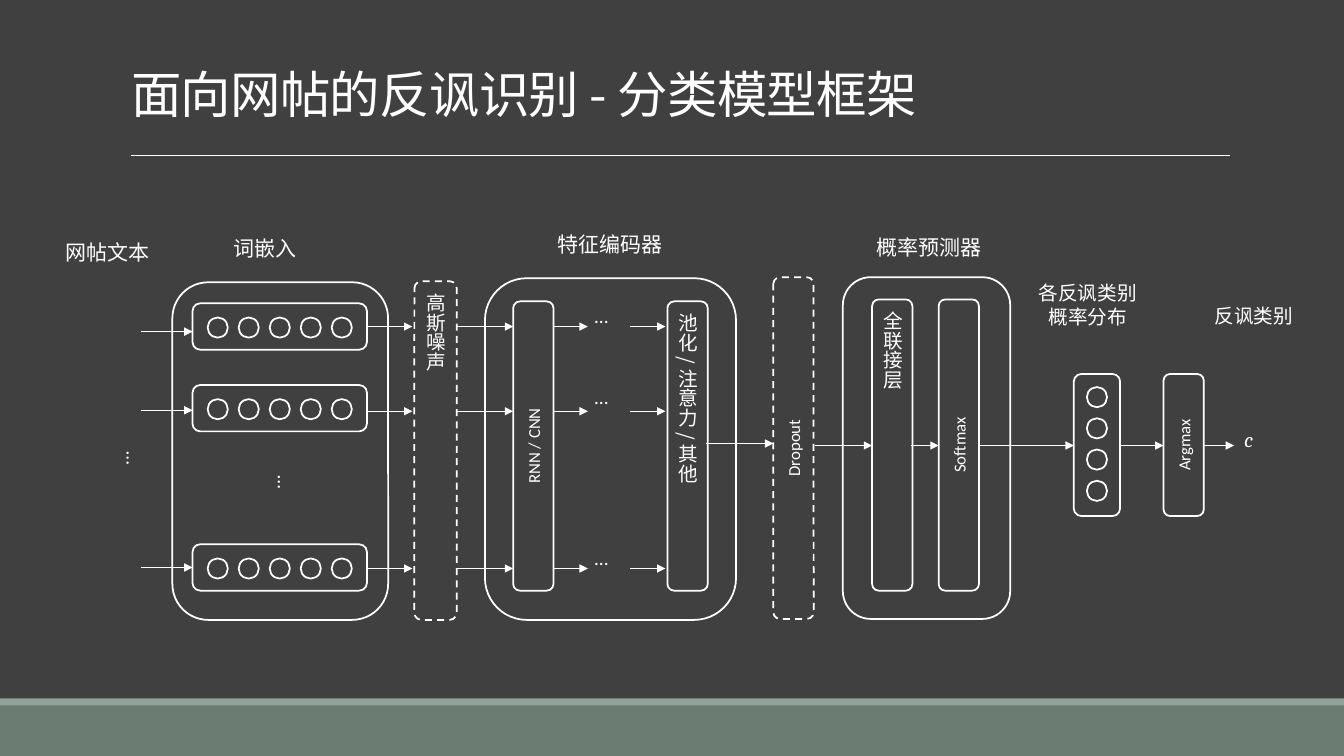
from dataclasses import dataclass

from lxml import etree
from pptx import Presentation
from pptx import util as u
from pptx.dml import color
from pptx.enum import dml, shapes, text
from pptx.oxml import ns

COLORS = {"background": "404040", "band": "6B7D72", "stripe": "93A299", "ink": "FFFFFF"}
CJK = "Noto Sans CJK SC"
STYLES = {
    "title": {"name": CJK, "size": u.Pt(36)},
    "heading": {"name": CJK, "size": u.Pt(15)},
    "label": {"name": CJK, "size": u.Pt(14)},
    "layer": {"name": "Calibri", "size": u.Pt(12)},
    "dots": {"name": "Calibri", "size": u.Pt(14)},
    "symbol": {"name": "Cambria", "size": u.Pt(15), "italic": True},
}
COLUMNS, ROWS = 1333, 750
WIDTH, HEIGHT = u.Inches(13.33), u.Inches(7.5)
KINDS = shapes.MSO_SHAPE
LANES = (324, 408, 564)


@dataclass
class Box:
    """A rectangle measured in grid columns and rows."""
    left: float
    top: float
    width: float
    height: float

    def inside(self, column, row, width, height):
        """Return a box offset from this one's corner."""
        return Box(self.left + column, self.top + row, width, height)

    def lengths(self):
        """Return left, top, width and height as slide lengths."""
        across, down = WIDTH / COLUMNS, HEIGHT / ROWS
        return [int(value) for value in (self.left * across, self.top * down,
                                         self.width * across, self.height * down)]


def rgb(name):
    """Look up a named colour."""
    return color.RGBColor.from_string(COLORS[name])


def write(frame, words, style, align=text.PP_ALIGN.CENTER):
    """Fill a text frame, one paragraph for each line of words."""
    for index, line in enumerate(words.split("\n")):
        paragraph = frame.paragraphs[0] if index == 0 else frame.add_paragraph()
        paragraph.alignment = align
        run = paragraph.add_run()
        run.text = line
        for attribute, value in STYLES[style].items():
            setattr(run.font, attribute, value)
        run.font.color.rgb = rgb("ink")
        east_asian = etree.SubElement(run.font._element, ns.qn("a:ea"))
        east_asian.set("typeface", CJK)


def add_label(slide, box, words, style, align=text.PP_ALIGN.CENTER, rotation=0):
    """Add a wrapped text box."""
    label = slide.shapes.add_textbox(*box.lengths())
    label.rotation = rotation
    label.text_frame.word_wrap = True
    write(label.text_frame, words, style, align)


def add_dots(slide, box, rotation=0):
    """Add an ellipsis standing for omitted items."""
    add_label(slide, box, "…", "dots", text.PP_ALIGN.LEFT, rotation)


def add_outline(slide, box, kind=KINDS.ROUNDED_RECTANGLE, dashed=False):
    """Add an unfilled shape with a light outline."""
    outline = slide.shapes.add_shape(kind, *box.lengths())
    outline.shadow.inherit = False
    outline.fill.background()
    outline.line.color.rgb = rgb("ink")
    outline.line.width = u.Pt(1.25)
    if dashed:
        outline.line.dash_style = dml.MSO_LINE.DASH
    return outline


def add_strip(slide, box, words, style="layer", dashed=False):
    """Add a tall layer with vertical text."""
    frame = add_outline(slide, box, dashed=dashed).text_frame
    frame.vertical_anchor = text.MSO_ANCHOR.MIDDLE
    frame._txBody.bodyPr.set("vert", "vert270" if style == "layer" else "eaVert")
    write(frame, words, style)


def add_line(slide, start, end, row, width=1, arrow=True):
    """Add a horizontal line, with an arrowhead unless told otherwise."""
    left, top, length, _ = Box(start, row, end - start, 0).lengths()
    line = slide.shapes.add_connector(shapes.MSO_CONNECTOR.STRAIGHT,
                                      left, top, left + length, top)
    line.line.color.rgb = rgb("ink")
    line.line.width = u.Pt(width)
    if arrow:
        etree.SubElement(line.line._get_or_add_ln(), ns.qn("a:tailEnd")).set("type", "triangle")
    etree.SubElement(line._element.spPr, ns.qn("a:effectLst"))


def add_circles(slide, box, count, across, down):
    """Add a run of small circles with equal steps."""
    for index in range(count):
        add_outline(slide, box.inside(index * across, index * down, 20, 20), KINDS.OVAL)


def draw_backdrop(slide, box):
    """Draw the background and the bands at the foot."""
    slide.background.fill.solid()
    slide.background.fill.fore_color.rgb = rgb("background")
    for name, row, height in (("band", 700, 50), ("stripe", 693, 7)):
        band = slide.shapes.add_shape(KINDS.RECTANGLE,
                                      *box.inside(0, row, box.width, height).lengths())
        band.shadow.inherit = False
        band.fill.solid()
        band.fill.fore_color.rgb = rgb(name)
        band.line.fill.background()


def draw_title(slide, box):
    """Place the title and the rule below it."""
    title = slide.shapes.title
    title.left, title.top, title.width, title.height = box.lengths()
    title.text_frame.vertical_anchor = text.MSO_ANCHOR.BOTTOM
    write(title.text_frame, "面向网帖的反讽识别 - 分类模型框架", "title", text.PP_ALIGN.LEFT)
    paragraph = title.text_frame.paragraphs[0]
    paragraph.line_spacing = 0.85
    paragraph.runs[0].font._element.set("spc", "-50")
    add_line(slide, box.left + 10, box.left + box.width, box.top + 185, 0.5, False)


def draw_inputs(slide, box):
    """Draw the source text heading and its arrows."""
    add_label(slide, box.inside(0, 0, 139, 47), "网帖文本", "heading", text.PP_ALIGN.LEFT)
    for row in (96, 174, 330):
        add_line(slide, box.left + 85, box.left + box.width, box.top + row)
    add_dots(slide, box.inside(50, 205, 45, 45), 90)


def draw_embedding(slide, box):
    """Draw the word vectors in their container."""
    add_outline(slide, box)
    add_label(slide, box.inside(51, -51, 111, 47), "词嵌入", "heading", text.PP_ALIGN.LEFT)
    for row in (21, 102, 260):
        vector = box.inside(20, row, 173, 46)
        add_outline(slide, vector)
        add_circles(slide, vector.inside(15, 14, 0, 0), 5, 30.75, 0)
    add_dots(slide, box.inside(84, 182, 45, 45), 90)


def draw_noise(slide, box):
    """Draw the noise layer with arrows in and out."""
    add_strip(slide, box, "高斯噪声", "label", True)
    for lane in LANES:
        add_line(slide, box.left - 47, box.left - 2, lane)
        add_line(slide, box.left + 41, box.left + 98, lane)


def draw_encoder(slide, box):
    """Draw the feature encoder and its inner lanes."""
    add_outline(slide, box)
    add_label(slide, box.inside(6, -51, 236, 47), "特征编码器", "heading")
    add_strip(slide, box.inside(28, 23, 40, 287), "RNN / CNN")
    add_strip(slide, box.inside(181, 23, 40, 287), "池化 / 注意力 / 其他", "label")
    for lane, row in zip(LANES, (21, 101, 261)):
        add_line(slide, box.left + 68, box.left + 102, lane)
        add_line(slide, box.left + 144, box.left + 179, lane)
        add_dots(slide, box.inside(99, row, 45, 45))
    add_line(slide, box.left + 219, box.left + 286, box.top + 164)


def draw_dropout(slide, box):
    """Draw the dropout layer."""
    add_strip(slide, box, "Dropout", dashed=True)
    add_line(slide, box.left + 41, box.left + 98, box.top + 167)


def draw_predictor(slide, box):
    """Draw the probability predictor."""
    add_outline(slide, box)
    add_label(slide, box.inside(-33, -47, 236, 47), "概率预测器", "heading")
    add_strip(slide, box.inside(29, 22, 40, 289), "全联接层", "label")
    add_strip(slide, box.inside(95, 22, 40, 289), "Softmax")
    for start, end in ((68, 95), (135, 229)):
        add_line(slide, box.left + start, box.left + end, box.top + 167)


def draw_distribution(slide, box):
    """Draw the vector of class probabilities."""
    add_outline(slide, box)
    add_label(slide, box.inside(-104, -97, 236, 76), "各反讽类别\n概率分布", "label")
    add_circles(slide, box.inside(13, 13, 0, 0), 4, 0, 31)
    add_line(slide, box.left + 46, box.left + 89, box.top + 71)


def draw_decision(slide, box):
    """Draw the final choice of class."""
    add_strip(slide, box, "Argmax")
    add_line(slide, box.left + 40, box.left + 70, box.top + 71)
    add_label(slide, box.inside(70, 47, 39, 47), "c", "symbol", text.PP_ALIGN.LEFT)
    add_label(slide, box.inside(16, -74, 147, 45), "反讽类别", "label")


def main():
    """Build and save the slide."""
    presentation = Presentation()
    presentation.slide_width, presentation.slide_height = WIDTH, HEIGHT
    slide = presentation.slides.add_slide(presentation.slide_layouts.get_by_name("Title Only"))
    draw_backdrop(slide, Box(0, 0, COLUMNS, ROWS))
    draw_title(slide, Box(120, -31, 1100, 159))
    draw_inputs(slide, Box(55, 233, 136, 340))
    draw_embedding(slide, Box(171, 280, 214, 335))
    draw_noise(slide, Box(411, 279, 42, 336))
    draw_encoder(slide, Box(481, 276, 249, 339))
    draw_dropout(slide, Box(767, 275, 40, 339))
    draw_predictor(slide, Box(836, 275, 166, 339))
    draw_distribution(slide, Box(1065, 371, 46, 141))
    draw_decision(slide, Box(1154, 371, 40, 141))
    presentation.save("out.pptx")


if __name__ == "__main__":
    main()
